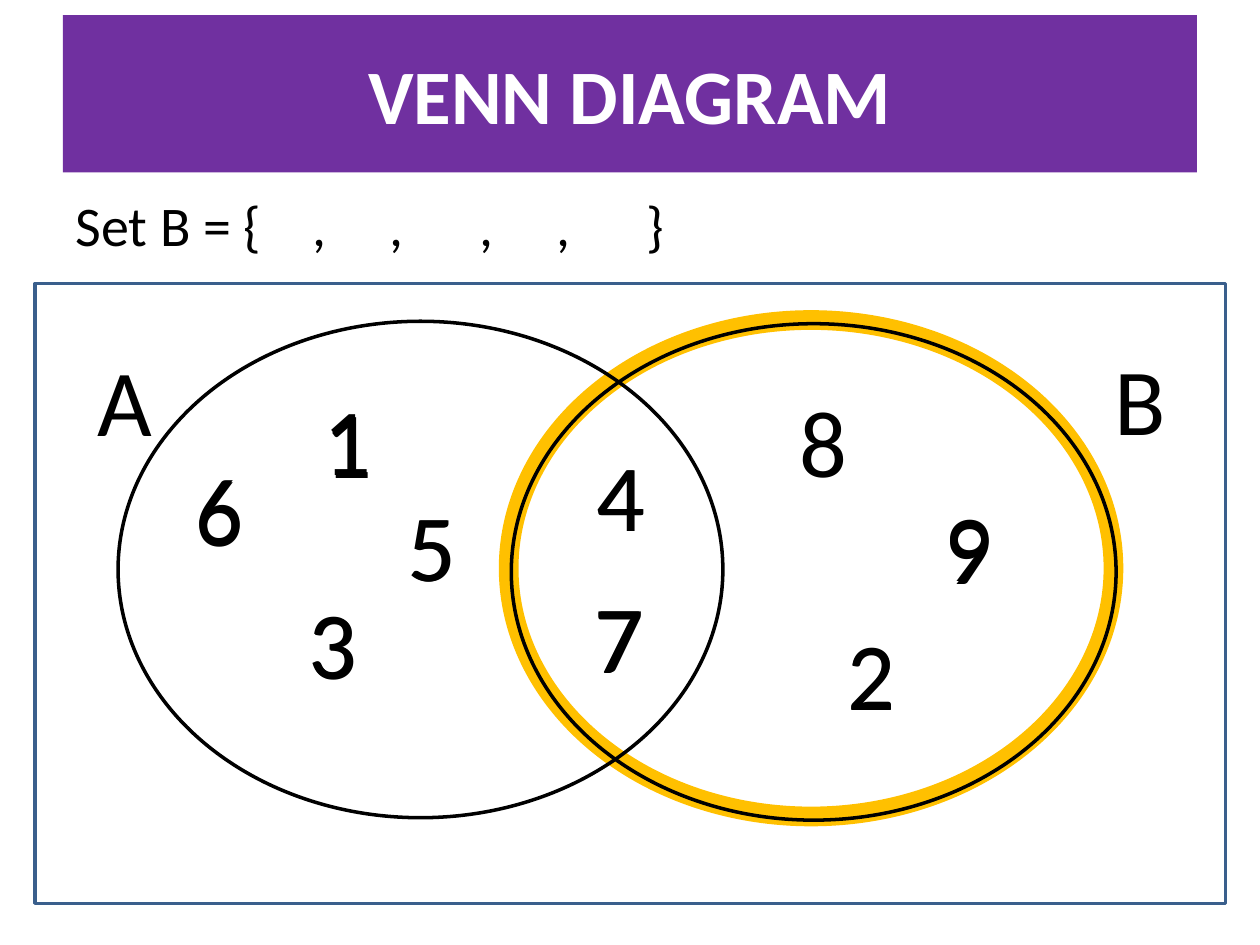
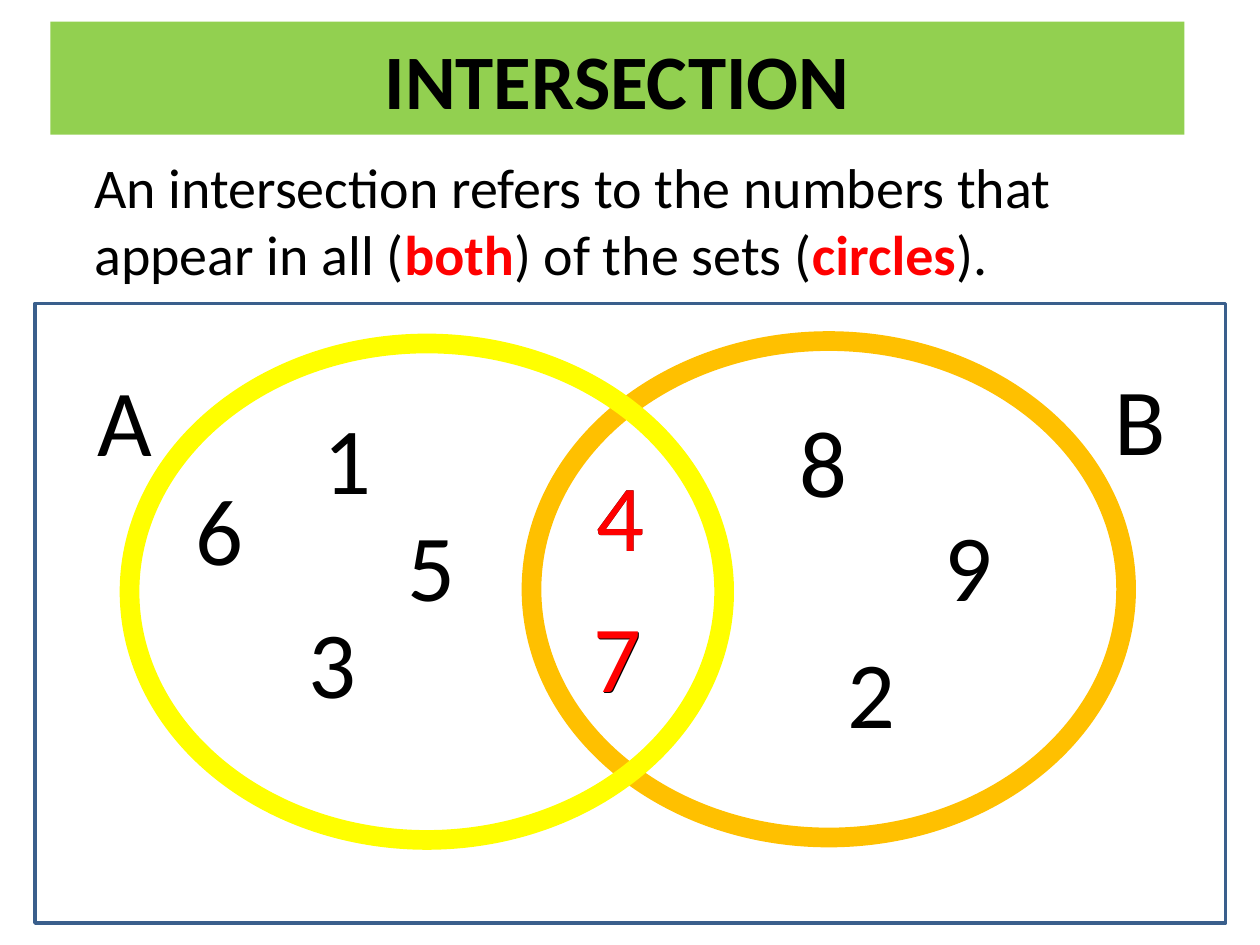
from pptx import Presentation
from pptx.dml.color import RGBColor
from pptx.enum.shapes import MSO_SHAPE as Preset
from pptx.enum.text import MSO_ANCHOR as Anchor, MSO_AUTO_SIZE as AutoSize, PP_ALIGN as Align
from pptx.oxml.ns import qn
from pptx.util import Pt
from lxml.etree import SubElement

FONT = "Calibri"
BLACK, WHITE, RED = "000000", "FFFFFF", "FF0000"
PURPLE, GREEN, BLUE = "7030A0", "92D050", "3A5F8C"
ORANGE, YELLOW = "FFC000", "FFFF00"
THIN, THICK = 2, 11.25
FRAME_LEFT, FRAME_WIDTH, FRAME_HEIGHT = 20, 680.4, 354.2
CIRCLE_HEIGHT = 283.7
MEMBER_SIZE = (42.5, 72.7)
MEMBERS = {
    "A": (28.4, 30), "B": (609.8, 29.5),
    "1": (157.2, 52), "6": (84.4, 92.5), "5": (205.4, 113), "3": (148.5, 168.3),
    "4": (313.4, 84.2), "7": (312, 165.3),
    "8": (429.3, 53.5), "9": (512.2, 113), "2": (456.8, 185.7),
}


def color(value):
    """Turn a hex string into a colour."""
    return RGBColor.from_string(value)


def style(run, size, ink=BLACK, bold=False):
    """Format one run of text."""
    run.font.name, run.font.size, run.font.bold = FONT, Pt(size), bold
    run.font.color.rgb = color(ink)


def add_outline(slide, preset, box, ink, weight):
    """Draw an unfilled preset shape."""
    outline = slide.shapes.add_shape(preset, *map(Pt, box))
    outline.shadow.inherit = False
    outline.fill.background()
    outline.line.color.rgb = color(ink)
    outline.line.width = Pt(weight)


def add_title(slide, box, title, fill, ink):
    """Draw the coloured title band."""
    band = slide.shapes.add_shape(Preset.RECTANGLE, *map(Pt, box))
    band.shadow.inherit = False
    band.fill.solid()
    band.fill.fore_color.rgb = color(fill)
    band.line.fill.background()
    band.text_frame.text = title
    band.text_frame.vertical_anchor = Anchor.MIDDLE
    heading = band.text_frame.paragraphs[0]
    heading.alignment = Align.CENTER
    style(heading.runs[0], 44, ink, True)


def add_statement(slide, box, parts, tab_stops=()):
    """Write the sentence under the title, with every second part in bold red."""
    frame = slide.shapes.add_textbox(*map(Pt, box)).text_frame
    frame.word_wrap = True
    sentence = frame.paragraphs[0]
    if tab_stops:
        stops = SubElement(sentence._p.get_or_add_pPr(), qn("a:tabLst"))
        for stop in tab_stops:
            SubElement(stops, qn("a:tab"), pos=str(Pt(stop)), algn="l")
    for index, part in enumerate(parts):
        run = sentence.add_run()
        run.text = part
        stressed = index % 2 == 1
        style(run, 32, RED if stressed else BLACK, stressed)


def add_member(slide, left, top, label, ink=BLACK):
    """Write one set name or number."""
    frame = slide.shapes.add_textbox(Pt(left), Pt(top), *map(Pt, MEMBER_SIZE)).text_frame
    frame.word_wrap = False
    frame.auto_size = AutoSize.SHAPE_TO_FIT_TEXT
    frame.text = label
    frame.paragraphs[0].alignment = Align.CENTER
    style(frame.paragraphs[0].runs[0], 54, ink)


def add_venn(slide, top, circles, overlays, overlay_ink):
    """Draw the framed circles, their members and the members laid over them."""
    add_outline(slide, Preset.RECTANGLE, (FRAME_LEFT, top, FRAME_WIDTH, FRAME_HEIGHT), BLUE, THIN)
    for x, y, width, ink, weight in circles:
        box = (FRAME_LEFT + x, top + y, width, CIRCLE_HEIGHT)
        add_outline(slide, Preset.OVAL, box, ink, weight)
    for label, (x, y) in MEMBERS.items():
        add_member(slide, FRAME_LEFT + x, top + y, label)
    for label, dx, dy in overlays:
        x, y = MEMBERS[label]
        add_member(slide, FRAME_LEFT + x + dx, top + y + dy, label, overlay_ink)


def build_venn_slide(slide):
    """Build the slide that asks for the members of set B."""
    add_title(slide, (36, 8.6, 648, 90), "VENN DIAGRAM", PURPLE, WHITE)
    add_statement(slide, (36, 105.1, 648, 356.4), ["Set B = {\t,\t,\t,\t,\t}"],
                  (135.4, 179.5, 230.9, 275.1, 326.5))
    circles = [(270.7, 20.9, 345.6, ORANGE, THICK),
               (47.5, 21.6, 345.6, BLACK, THIN),
               (272.2, 23, 345.6, BLACK, THIN)]
    overlays = [("1", 0.7, 2), ("3", 0.7, 0.7), ("4", 0.7, 0), ("5", 0.7, 0),
                ("6", 0, -0.7), ("7", 1.4, -0.7), ("7", 0, -0.7),
                ("2", 0, 0.7), ("9", 0, 1.4)]
    add_venn(slide, 162, circles, overlays, BLACK)


def build_intersection_slide(slide):
    """Build the slide that explains the intersection."""
    add_title(slide, (28.8, 12.4, 648, 64.6), "INTERSECTION", GREEN, BLACK)
    add_statement(slide, (46.8, 83.5, 648, 356.4),
                  ["An intersection refers to the numbers that appear in all (", "both",
                   ") of the sets (", "circles", ")."])
    circles = [(283.7, 21.6, 339.8, ORANGE, THICK), (54, 23, 339.8, YELLOW, THICK)]
    add_venn(slide, 173.3, circles, [("4", 0, 0), ("7", -0.7, -0.7)], RED)


def main():
    """Build and save the presentation."""
    deck = Presentation()
    deck.slide_width, deck.slide_height = Pt(720), Pt(540)
    for build in (build_venn_slide, build_intersection_slide):
        build(deck.slides.add_slide(deck.slide_layouts[6]))
    deck.save("out.pptx")


if __name__ == "__main__":
    main()
